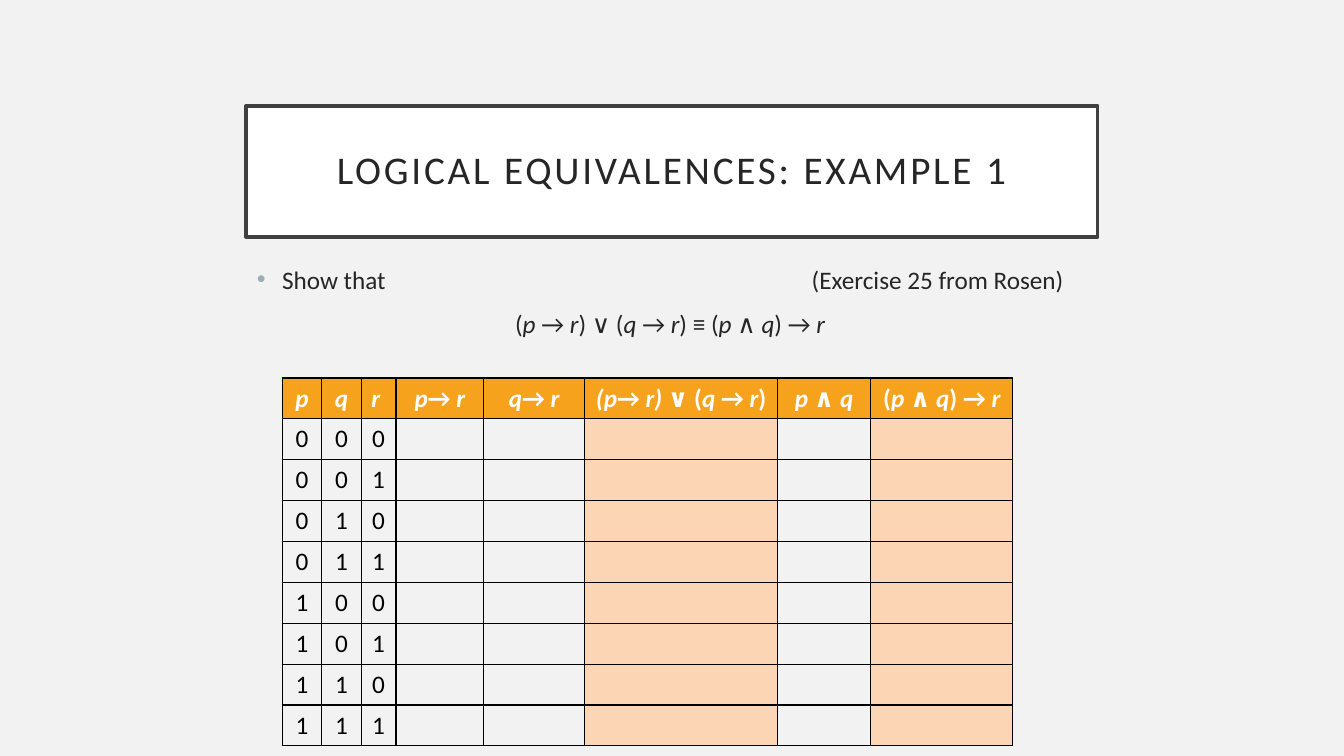
from itertools import product
from lxml import etree
from pptx import Presentation
from pptx.dml import color
from pptx.enum import shapes, text
from pptx.oxml import ns, parse_xml
from pptx.util import Pt

NS = ns.nsdecls("a")


def paint(fmt, hue):
    """Give a fill or a line one solid colour."""
    fill = getattr(fmt, "fill", fmt)
    fill.solid()
    fill.fore_color.rgb = color.RGBColor.from_string(hue)


def write(par, words, size=18, hue="262626", bold=False, align="CENTER", track=0):
    """Fill a paragraph; words between asterisks are italic."""
    par.alignment = text.PP_ALIGN[align]
    for i, part in enumerate(words.split("*")):
        if part:
            run = par.add_run()
            run.text = part
            font = run.font
            font.name, font.size = "Calibri", Pt(size)
            font.bold, font.italic = bold, i % 2 == 1
            paint(font, hue)
            if track:
                run.font._element.set("spc", str(track * 100))


deck = Presentation()
deck.slide_width, deck.slide_height = Pt(960), Pt(540)
slide = deck.slides.add_slide(deck.slide_layouts[6])
paint(slide.background, "F2F2F2")

# Title box
title = slide.shapes.add_shape(
    shapes.MSO_SHAPE.RECTANGLE, Pt(175.7), Pt(75.6), Pt(608.4), Pt(93.6))
title.shadow.inherit = False
paint(title, "FFFFFF")
paint(title.line, "404040")
title.line.width = Pt(2.5)
frame = title.text_frame
frame.word_wrap = True
frame.vertical_anchor = text.MSO_ANCHOR.MIDDLE
frame.margin_left = frame.margin_right = Pt(14.4)
frame.margin_top = frame.margin_bottom = Pt(14.4)
frame.paragraphs[0].line_spacing = 0.9
write(frame.paragraphs[0], "LOGICAL EQUIVALENCES: EXAMPLE 1", size=28, track=2)

# Task and formula
body = slide.shapes.add_textbox(Pt(176.4), Pt(185), Pt(608.4), Pt(244))
frame = body.text_frame
frame.word_wrap = True
task, rule = frame.paragraphs[0], frame.add_paragraph()
dot = [
    '<a:buClr %s><a:srgbClr val="9BAFB5"/></a:buClr>',
    '<a:buFont %s typeface="Arial"/>',
    '<a:buChar %s char="•"/>',
]
tab = '<a:tabLst %s><a:tab pos="' + str(Pt(625.7)) + '" algn="r"/></a:tabLst>'
for par, marks in ((task, dot), (rule, ["<a:buNone %s/>"])):
    props = par._p.get_or_add_pPr()
    props.set("marL", str(Pt(18)))
    props.set("indent", str(Pt(-18)))
    for mark in marks + [tab]:
        props.append(parse_xml(mark % NS))
rule.space_before = Pt(10)
write(task, "Show that \t(Exercise 25 from Rosen)", align="LEFT")
write(rule, "(*p *→ *r*) ∨ (*q *→ *r*) ≡ (*p *∧ *q*) → *r *")

# Truth table
heads = ["*p*", "*q*", "*r *", "*p*→ *r*", "*q*→ *r*",
         "*(p*→ *r)* ∨ (*q *→ *r*)", "*p *∧ *q*", "(*p *∧ *q*) → *r *"]
widths = [28.2, 28.2, 25, 62.6, 72, 138, 66.4, 101.6]
rows = [heads] + [list(bits) for bits in product("01", repeat=3)]
grid = slide.shapes.add_table(
    len(rows), len(heads), Pt(201.6), Pt(270), Pt(sum(widths)), Pt(29.2 * len(rows))).table
grid.horz_banding = False
for col, width in zip(grid.columns, widths):
    col.width = Pt(width)
for r, row in enumerate(rows):
    grid.rows[r].height = Pt(29.2)
    for c in range(len(heads)):
        cell = grid.cell(r, c)
        paint(cell, "F6A21D" if r == 0 else "FCD5B5" if c in (5, 7) else "F2F2F2")
        if c < len(row):
            write(cell.text_frame.paragraphs[0], row[c], bold=r == 0,
                  hue="000000" if r else "FFFFFF")
        # Black border on each side
        props = cell._tc.get_or_add_tcPr()
        for i, side in enumerate(("lnL", "lnR", "lnT", "lnB")):
            edge = etree.Element(ns.qn("a:" + side), w=str(Pt(1)))
            ink = etree.SubElement(edge, ns.qn("a:solidFill"))
            etree.SubElement(ink, ns.qn("a:srgbClr"), val="000000")
            props.insert(i, edge)

deck.save("out.pptx")
